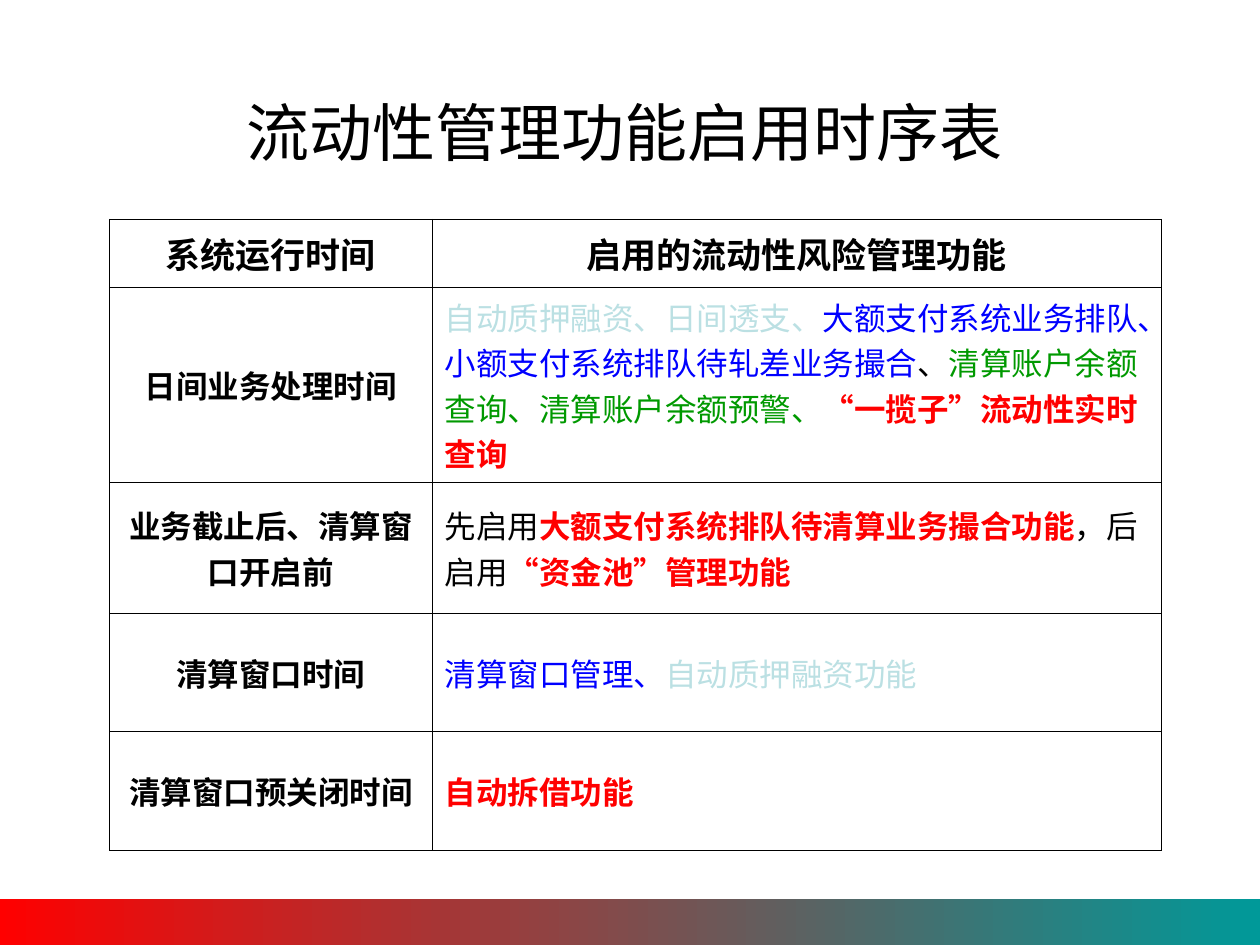
from lxml import etree
from pptx import Presentation
from pptx.dml.color import RGBColor
from pptx.enum.shapes import MSO_SHAPE
from pptx.enum.text import MSO_ANCHOR, MSO_AUTO_SIZE, PP_ALIGN
from pptx.oxml.ns import qn
from pptx.util import Pt

RECT = MSO_SHAPE.RECTANGLE
MIDDLE = MSO_ANCHOR.MIDDLE
NONE = MSO_AUTO_SIZE.NONE
LEFT, CENTER = PP_ALIGN.LEFT, PP_ALIGN.CENTER

COLORS = {
    "black": "000000",
    "pale": "BBE0E3",
    "blue": "0000FF",
    "green": "009900",
    "red": "FF0000",
    "teal": "009999",
}

TITLE = "流动性管理功能启用时序表 "
HEADS = ["系统运行时间", "启用的流动性风险管理功能"]
STAGES = [
    ("日间业务处理时间", [
        ("自动质押融资、日间透支、", "pale", False),
        ("大额支付系统业务排队、小额支付系统排队待轧差业务撮合", "blue", False),
        ("、", "black", False),
        ("清算账户余额查询、清算账户余额预警、", "green", False),
        ("“一揽子”流动性实时查询", "red", True),
    ]),
    ("业务截止后、清算窗口开启前", [
        ("先启用", "black", False),
        ("大额支付系统排队待清算业务撮合功能", "red", True),
        ("，后启用", "black", False),
        ("“资金池”管理功能", "red", True),
    ]),
    ("清算窗口时间", [
        ("清算窗口管理、", "blue", False),
        ("自动质押融资功能", "pale", False),
    ]),
    ("清算窗口预关闭时间", [("自动拆借功能", "red", True)]),
]
COLS = [184.3, 416.9]
ROWS = [38.9, 94.3, 74.9, 67.7, 67.7]


class Deck:
    font = "Noto Sans CJK SC"
    head = "Arial"
    line = 0.45

    def __init__(self, slide):
        self.slide = slide

    def color(self, name):
        return RGBColor.from_string(COLORS[name])

    def text(self, frame, runs, size, align, font):
        para = frame.paragraphs[0]
        para.alignment = align
        for words, tint, bold in runs:
            run = para.add_run()
            run.text = words
            run.font.size = Pt(size)
            run.font.bold = bold
            run.font.name = font
            run.font.color.rgb = self.color(tint)
            east = etree.SubElement(run.font._element, qn("a:ea"))
            east.set("typeface", self.font)

    def band(self, x, y, w, h):
        bar = self.slide.shapes.add_shape(RECT, Pt(x), Pt(y), Pt(w), Pt(h))
        bar.shadow.inherit = False
        bar.line.fill.background()
        bar.fill.gradient()
        bar.fill.gradient_angle = 180
        for stop, tint in zip(bar.fill.gradient_stops, ("teal", "red")):
            stop.color.rgb = self.color(tint)

    def title(self, words, x, y, w, h):
        box = self.slide.shapes.title
        box.left, box.top, box.width, box.height = Pt(x), Pt(y), Pt(w), Pt(h)
        frame = box.text_frame
        frame.word_wrap = True
        frame.auto_size = NONE
        frame.vertical_anchor = MIDDLE
        self.text(frame, [(words, "black", False)], 36, CENTER, self.head)

    def edge(self, cell):
        props = cell._tc.get_or_add_tcPr()
        for side in ("lnL", "lnR", "lnT", "lnB"):
            line = etree.SubElement(props, qn(f"a:{side}"), w=str(Pt(self.line)))
            fill = etree.SubElement(line, qn("a:solidFill"))
            etree.SubElement(fill, qn("a:srgbClr"), val=COLORS["black"])

    def cell(self, cell, runs, size, align):
        cell.vertical_anchor = MIDDLE
        cell.margin_left = cell.margin_right = Pt(7.2)
        cell.margin_top = cell.margin_bottom = Pt(3.6)
        self.edge(cell)
        cell.fill.background()
        self.text(cell.text_frame, runs, size, align, self.font)

    def table(self, x, y):
        grid = self.slide.shapes.add_table(
            len(ROWS), len(COLS), Pt(x), Pt(y), Pt(sum(COLS)), Pt(sum(ROWS))
        ).table
        grid.first_row = grid.horz_banding = False
        for col, width in zip(grid.columns, COLS):
            col.width = Pt(width)
        for row, height in zip(grid.rows, ROWS):
            row.height = Pt(height)
        for i, words in enumerate(HEADS):
            self.cell(grid.cell(0, i), [(words, "black", True)], 20, CENTER)
        for i, (time, runs) in enumerate(STAGES, 1):
            self.cell(grid.cell(i, 0), [(time, "black", True)], 18, CENTER)
            self.cell(grid.cell(i, 1), runs, 18, LEFT)


def main():
    prs = Presentation()
    prs.slide_width, prs.slide_height = Pt(720), Pt(540)
    deck = Deck(prs.slides.add_slide(prs.slide_layouts[5]))
    deck.band(-2.2, 514, 722.2, 31.7)
    deck.title(TITLE, 36.7, 37.4, 648, 75.6)
    deck.table(62.6, 125.3)
    prs.save("out.pptx")


if __name__ == "__main__":
    main()
